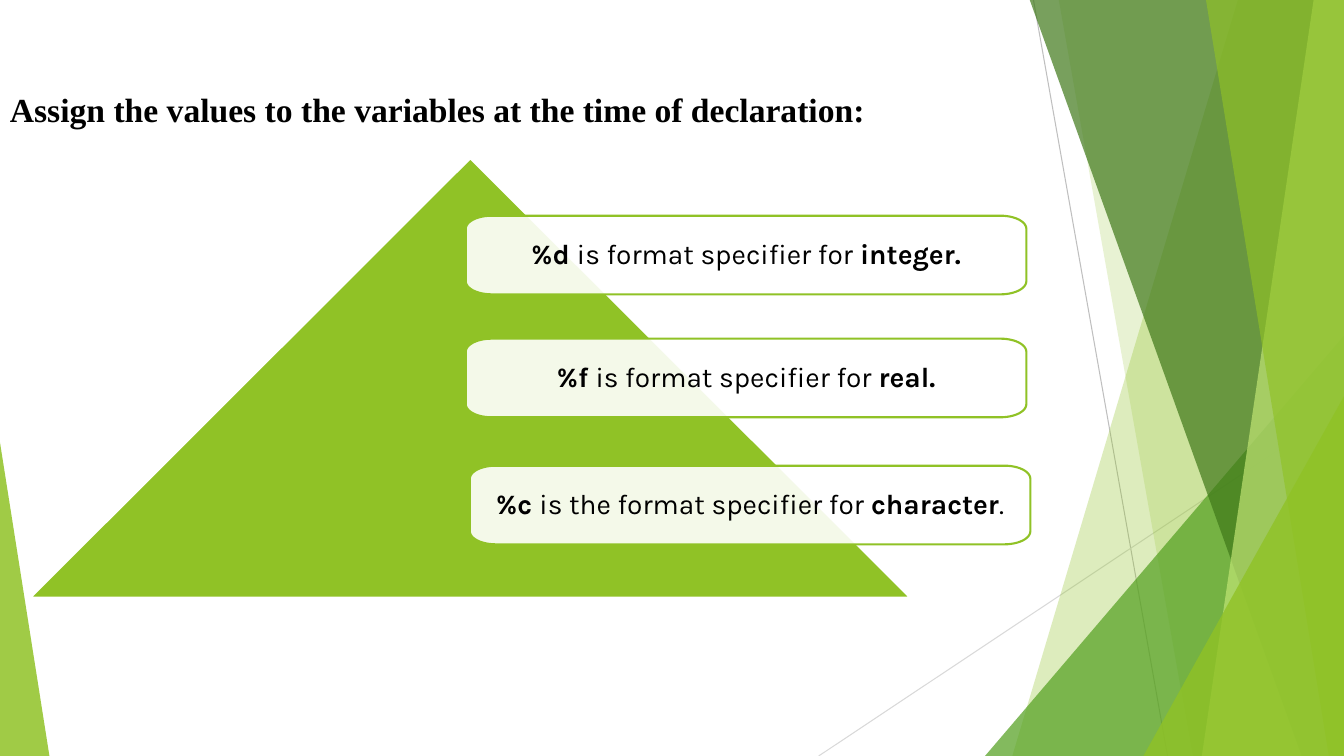
from dataclasses import dataclass
from math import cos, pi, sin

from lxml import etree
from pptx import Presentation
from pptx.dml.color import RGBColor
from pptx.enum.shapes import MSO_CONNECTOR, MSO_SHAPE
from pptx.enum.text import MSO_ANCHOR, PP_ALIGN
from pptx.oxml.ns import qn
from pptx.util import Pt

TRIANGLE = MSO_SHAPE.ISOSCELES_TRIANGLE
STRAIGHT = MSO_CONNECTOR.STRAIGHT
MIDDLE, TOP = MSO_ANCHOR.MIDDLE, MSO_ANCHOR.TOP
CENTER, LEFT = PP_ALIGN.CENTER, PP_ALIGN.LEFT

EMU_PER_PX = 9144  # 100 px to the inch
W, H = 1333, 750


@dataclass(frozen=True)
class Theme:
    lime: str = "90C226"
    green: str = "54A021"
    forest: str = "3F7819"
    pale: str = "C0E474"
    white: str = "FFFFFF"
    black: str = "000000"
    gray: str = "BFBFBF"
    light_gray: str = "D9D9D9"
    title_font: str = "Times New Roman"
    body_font: str = "Karla"
    title_size: int = 24
    body_size: int = 20
    hairline: float = 0.75
    outline: float = 1.5


def px(n):
    return round(n * EMU_PER_PX)


class Canvas:
    def __init__(self, slide, theme):
        self.shapes = slide.shapes
        self.theme = theme

    def paint(self, sp, color, opacity=100, line=None):
        sp.shadow.inherit = False
        sp.fill.solid()
        sp.fill.fore_color.rgb = RGBColor.from_string(color)
        if opacity < 100:
            clr = sp.fill._xPr.find(qn("a:solidFill"))[0]
            etree.SubElement(clr, qn("a:alpha"), val=str(opacity * 1000))
        if line:
            sp.line.color.rgb = RGBColor.from_string(line)
            sp.line.width = Pt(self.theme.outline)
        else:
            sp.line.fill.background()

    def line(self, x1, y1, x2, y2, color):
        cx = self.shapes.add_connector(STRAIGHT, px(x1), px(y1), px(x2), px(y2))
        cx.line.color.rgb = RGBColor.from_string(color)
        cx.line.width = Pt(self.theme.hairline)
        etree.SubElement(cx._element.spPr, qn("a:effectLst"))

    def polygon(self, points, color, opacity=100, line=None):
        pts = [(px(x), px(y)) for x, y in points]
        fb = self.shapes.build_freeform(*pts[0])
        fb.add_line_segments(pts[1:], close=True)
        sp = fb.convert_to_shape()
        self.paint(sp, color, opacity, line)
        return sp

    def triangle(self, x, y, w, h, apex, color, opacity=100, line=None):
        sp = self.shapes.add_shape(TRIANGLE, px(x), px(y), px(w), px(h))
        sp.adjustments[0] = apex
        self.paint(sp, color, opacity, line)

    def text(self, sp, runs, font, size, align, anchor, margins):
        tf = sp.text_frame
        tf.word_wrap = True
        tf.vertical_anchor = anchor
        (tf.margin_left, tf.margin_top,
         tf.margin_right, tf.margin_bottom) = map(px, margins)
        p = tf.paragraphs[0]
        p.alignment = align
        for words, bold in runs:
            r = p.add_run()
            r.text = words
            r.font.name = font
            r.font.size = Pt(size)
            r.font.bold = bold
            r.font.color.rgb = RGBColor.from_string(self.theme.black)
        return p

    def title(self, x, y, w, h, words):
        t = self.theme
        sp = self.shapes.add_textbox(px(x), px(y), px(w), px(h))
        self.text(sp, [(words, True)], t.title_font, t.title_size,
                  LEFT, TOP, (10, 88, 10, 5))

    def card(self, x, y, w, h, runs):
        """Card with elliptical corners, wider than they are tall."""
        t = self.theme
        rx, ry, steps = 25.5, 13, 12
        corners = [(x + rx, y + ry), (x + w - rx, y + ry),
                   (x + w - rx, y + h - ry), (x + rx, y + h - ry)]
        points = []
        for i, (cx, cy) in enumerate(corners):
            for k in range(steps + 1):
                a = pi + (i + k / steps) * pi / 2
                points.append((cx + rx * cos(a), cy + ry * sin(a)))
        sp = self.polygon(points, t.white, 90, t.lime)
        p = self.text(sp, runs, t.body_font, t.body_size,
                      CENTER, MIDDLE, (3, 3, 3, 3))
        p.line_spacing = 0.9
        p.space_after = Pt(0.35 * t.body_size)


def main():
    prs = Presentation()
    prs.slide_width, prs.slide_height = px(W), px(H)
    slide = prs.slides.add_slide(prs.slide_layouts[6])
    t = Theme()
    c = Canvas(slide, t)

    def facet(top, bottom, color, opacity):
        """Band from a slanted left edge to the right slide edge."""
        c.polygon([(top, -1), (W, -1), (W, H), (bottom, H)], color, opacity)

    # Background facets
    c.line(1025, 0, 1158, H, t.gray)
    c.line(W, 403, 812, H, t.light_gray)
    facet(1228, 1004, t.lime, 30)
    facet(1050, 1183, t.lime, 20)
    c.triangle(977, 333, 356, 417, 1, t.green, 72)
    facet(1021, 1291, t.forest, 70)
    facet(1303, 1192, t.pale, 70)
    facet(1196, 1318, t.lime, 65)
    c.triangle(1134, 393, 199, 357, 1, t.lime, 80)
    c.triangle(0, 439, 49, 311, 0, t.lime, 85)

    # Pyramid with format specifier cards
    c.triangle(30, 157, 873, 436, 0.5, t.lime, line=t.white)
    cards = [
        (462, 214, [("%d ", True), ("is format specifier for ", False),
                    ("integer.", True)]),
        (462, 336, [("%f ", True), ("is format specifier for ", False),
                    ("real.", True)]),
        (466, 462, [("%c ", True), ("is the format specifier for ", False),
                    ("character", True), (".", False)]),
    ]
    for x, y, runs in cards:
        c.card(x, y, 556, 78, runs)

    # Title
    c.title(0, 0, W, 172,
            "Assign the values to the variables at the time of declaration:")

    prs.save("out.pptx")


if __name__ == "__main__":
    main()
